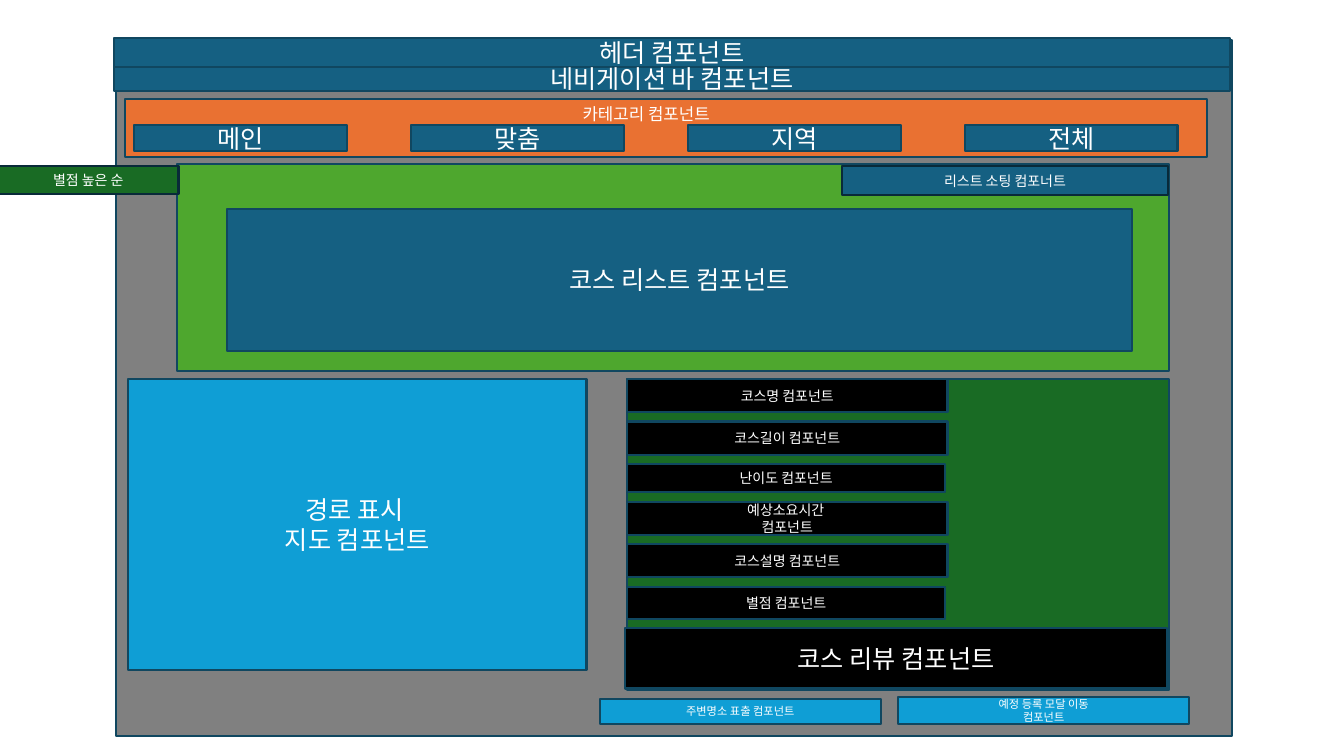
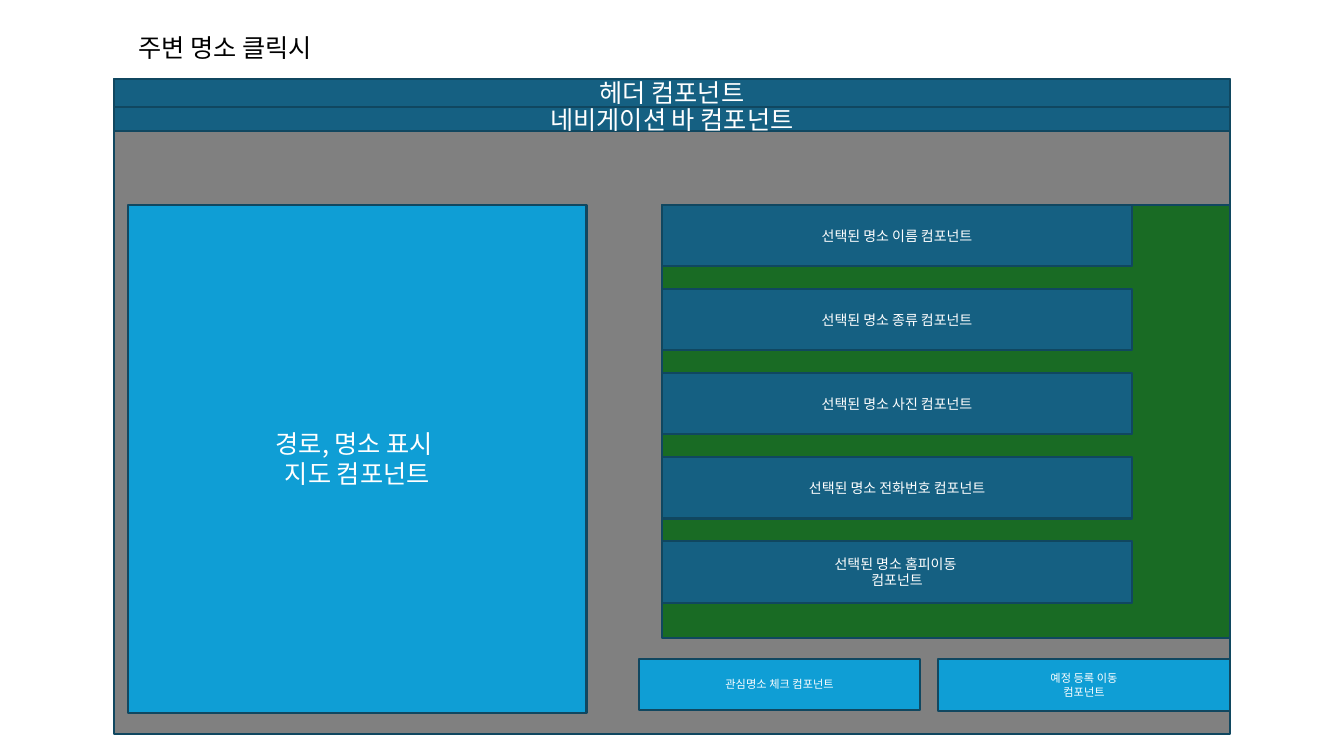
from lxml import etree
from pptx import Presentation
from pptx.dml.color import RGBColor
from pptx.enum.shapes import MSO_SHAPE
from pptx.enum.text import MSO_ANCHOR, MSO_AUTO_SIZE, PP_ALIGN
from pptx.oxml.ns import qn
from pptx.util import Pt

RECT = MSO_SHAPE.RECTANGLE
CENTER, LEFT = PP_ALIGN.CENTER, PP_ALIGN.LEFT
MIDDLE, TOP = MSO_ANCHOR.MIDDLE, MSO_ANCHOR.TOP
FIXED = MSO_AUTO_SIZE.NONE

FONT = "Noto Sans CJK KR"
WHITE, BLACK, GRAY = "FFFFFF", "000000", "808080"
TEAL, SKY, ORANGE = "156082", "0F9ED5", "E97132"
LIME, GREEN = "4EA72E", "196B24"
EDGE, DARK = "104760", "092A39"

BLANK, TITLE = 6, 5
LEFT_X, WIDE = 81.4, 797
BAR_H, NAV_H = 20.2, 17.3
MAP_X, MAP_W = 91.4, 327.6


def color(code):
    return RGBColor.from_string(code)


def write(shape, text, size=18, fill=WHITE, align=CENTER, anchor=MIDDLE,
          wrap=True):
    """Fill a shape with text, one paragraph per line."""
    frame = shape.text_frame
    frame.text = text
    frame.word_wrap = wrap
    frame.auto_size = FIXED
    frame.vertical_anchor = anchor
    for para in frame.paragraphs:
        para.alignment = align
        for run in para.runs:
            run.font.size = Pt(size)
            run.font.name = FONT
            run.font.color.rgb = color(fill)
            east = etree.SubElement(run.font._element, qn("a:ea"))
            east.set("typeface", FONT)


class Deck:
    def __init__(self):
        self.file = Presentation()
        self.file.slide_width = Pt(960)
        self.file.slide_height = Pt(540)
        self.slide = None

    def start(self, layout):
        layouts = self.file.slide_layouts
        self.slide = self.file.slides.add_slide(layouts[layout])

    def title(self, text, x, y, w, h):
        shape = self.slide.shapes.title
        shape.left, shape.top = Pt(x), Pt(y)
        shape.width, shape.height = Pt(w), Pt(h)
        write(shape, text, fill=BLACK, align=LEFT, anchor=TOP)

    def label(self, text, x, y, w, h, size):
        shape = self.slide.shapes.add_textbox(Pt(x), Pt(y), Pt(w), Pt(h))
        write(shape, text, size=size, align=LEFT, anchor=TOP, wrap=False)

    def box(self, x, y, w, h, fill, text="", size=18, edge=EDGE):
        shape = self.slide.shapes.add_shape(RECT, Pt(x), Pt(y), Pt(w), Pt(h))
        shape.shadow.inherit = False
        shape.fill.solid()
        shape.fill.fore_color.rgb = color(fill)
        shape.line.color.rgb = color(edge)
        shape.line.width = Pt(1.5)
        if text:
            write(shape, text, size=size)

    def stack(self, x, y, gap, fill, rows):
        """Place (text, width, height) rows downwards with equal gaps."""
        for text, w, h in rows:
            self.box(x, y, w, h, fill, text, 10)
            y += h + gap

    def page(self, x, y, h, top):
        """Draw the page frame, with the header and navigation bars at top."""
        self.box(x, y, WIDE, h, GRAY)
        self.box(LEFT_X, top, WIDE, BAR_H, TEAL, "헤더 컴포넌트")
        self.box(LEFT_X, top + BAR_H, WIDE, NAV_H, TEAL,
                 "네비게이션 바 컴포넌트")


def courses(deck):
    deck.start(BLANK)
    deck.page(82.8, 28.8, 496.8, 27.4)

    deck.box(89.3, 70.6, 772.6, 41.8, ORANGE)
    for i, name in enumerate(["메인", "맞춤", "지역", "전체"]):
        deck.box(95.8 + 197.8 * i, 89.6, 151.9, 18, TEAL, name)
    deck.label("카테고리 컴포넌트", 409, 70.6, 115.9, 21.6, 12)

    deck.box(126.7, 117.4, 708.5, 147.6, LIME)
    deck.box(162, 149, 646.6, 101.5, TEAL, "코스 리스트 컴포넌트")
    deck.box(601.2, 118.8, 233.3, 20.2, TEAL, "리스트 소팅 컴포너트", 10, DARK)
    deck.box(-1.4, 118.4, 128.9, 20.2, GREEN, "별점 높은 순", 10, DARK)

    deck.box(MAP_X, 270.7, MAP_W, 208.1, SKY, "경로 표시 \n지도 컴포넌트")
    deck.box(447.8, 270.7, 387.4, 222.5, GREEN)
    deck.stack(447.8, 270.7, 6.6, BLACK, [
        ("코스명 컴포넌트", 229, 23.8),
        ("코스길이 컴포넌트", 229, 23.8),
        ("난이도 컴포넌트", 227.5, 20.2),
        ("예상소요시간 \n컴포넌트", 229, 23.8),
        ("코스설명 컴포넌트", 229, 23.8),
        ("별점 컴포넌트", 227.5, 23),
    ])
    deck.box(446.4, 448.6, 387.4, 43.2, BLACK, "코스 리뷰 컴포넌트")
    deck.box(428.4, 499, 200.9, 18, SKY, "주변명소 표출 컴포넌트", 8)
    deck.box(641.5, 498.2, 208.1, 18.7, SKY, "예정 등록 모달 이동\n컴포넌트", 8)


def sights(deck):
    deck.start(TITLE)
    deck.title("주변 명소 클릭시", MAP_X, 19.4, 154.8, 28.8)
    deck.page(LEFT_X, 56.2, 468, 56.2)

    deck.box(MAP_X, 146.2, MAP_W, 362.9, SKY, "경로, 명소 표시 \n지도 컴포넌트")
    deck.box(456.5, 470.9, 200.9, 36, SKY, "관심명소 체크 컴포넌트", 8)
    deck.box(670.3, 470.9, 208.1, 36.7, SKY, "예정 등록 이동\n컴포넌트", 8)

    deck.box(473, 146.2, 405.4, 309.6, GREEN)
    names = ["이름 컴포넌트", "종류 컴포넌트", "사진 컴포넌트",
             "전화번호 컴포넌트", "홈피이동 \n컴포넌트"]
    deck.stack(473, 146.2, 16.2, TEAL,
               [(f"선택된 명소 {name}", 335.5, 43.9) for name in names])


def main():
    deck = Deck()
    courses(deck)
    sights(deck)
    deck.file.save("out.pptx")


if __name__ == "__main__":
    main()
